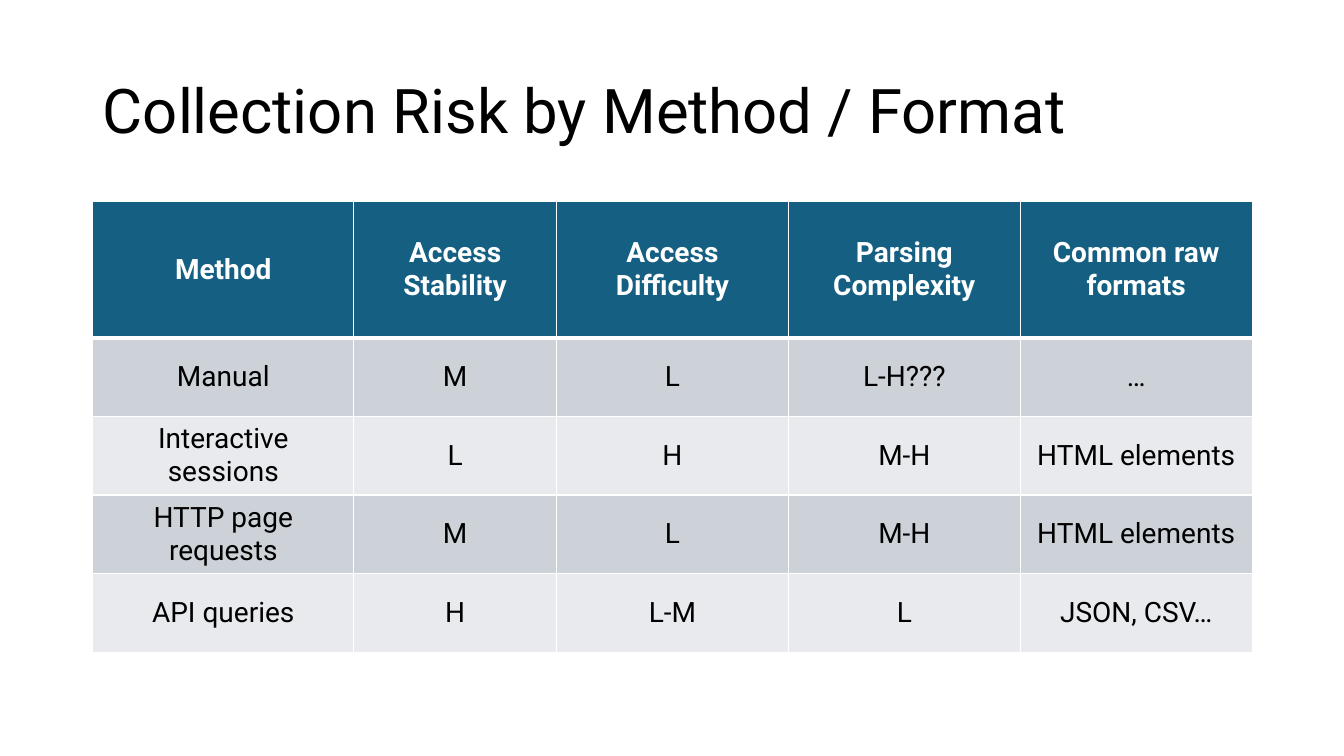
from dataclasses import dataclass

from lxml import etree
from pptx import Presentation
from pptx.dml.color import RGBColor
from pptx.enum import text as t
from pptx.oxml import ns
from pptx.util import Inches, Pt


@dataclass(frozen=True)
class Theme:
    font: str = "Roboto"
    title_size: int = 44
    table_size: int = 20
    ink: str = "000000"
    white: str = "FFFFFF"
    header: str = "156082"
    bands: tuple = ("CCD2D8", "E8EAED")


THEME = Theme()

HEADINGS = ["Method", "Access Stability", "Access\nDifficulty",
            "Parsing Complexity", "Common raw formats"]
METHODS = [
    ["Manual", "M", "L", "L-H???", "…"],
    ["Interactive sessions", "L", "H", "M-H", "HTML elements"],
    ["HTTP page requests", "M", "L", "M-H", "HTML elements"],
    ["API queries", "H", "L-M", "L", "JSON, CSV…"],
]
COLUMN_WIDTHS = [2.59, 2.01, 2.3, 2.3, 2.3]
HEADER_HEIGHT, ROW_HEIGHT = 1.35, 0.78


def write(frame, wording, *, size, color=THEME.ink, bold=False,
          align=t.PP_ALIGN.LEFT, spacing=1.0):
    """Fill a text frame, one paragraph per line of wording."""
    frame.text = wording
    frame.word_wrap = True
    for paragraph in frame.paragraphs:
        paragraph.alignment = align
        paragraph.line_spacing = spacing
        for run in paragraph.runs:
            run.font.name = THEME.font
            run.font.size = Pt(size)
            run.font.bold = bold
            run.font.color.rgb = RGBColor.from_string(color)


def add_borders(cell, widths):
    """Draw white cell borders; widths gives points for left, right, top, bottom."""
    properties = cell._tc.get_or_add_tcPr()
    for side, width in zip("LRTB", widths):
        line = etree.SubElement(properties, ns.qn(f"a:ln{side}"), w=str(Pt(width)))
        fill = etree.SubElement(line, ns.qn("a:solidFill"))
        etree.SubElement(fill, ns.qn("a:srgbClr"), val=THEME.white)


def place_title(slide, left, top, width, height):
    title = slide.shapes.title
    title.left, title.top = Inches(left), Inches(top)
    title.width, title.height = Inches(width), Inches(height)
    write(title.text_frame, "Collection Risk by Method / Format",
          size=THEME.title_size, spacing=0.9)
    title.text_frame.vertical_anchor = t.MSO_ANCHOR.MIDDLE
    title.text_frame.auto_size = t.MSO_AUTO_SIZE.NONE


def place_risk_table(slide, left, top, width, height):
    rows = [HEADINGS, *METHODS]
    table = slide.shapes.add_table(
        len(rows), len(HEADINGS), Inches(left), Inches(top),
        Inches(width), Inches(height)).table
    for column, column_width in zip(table.columns, COLUMN_WIDTHS):
        column.width = Inches(column_width)
    for r, row in enumerate(rows):
        is_header = r == 0
        table.rows[r].height = Inches(HEADER_HEIGHT if is_header else ROW_HEIGHT)
        band = THEME.header if is_header else THEME.bands[(r - 1) % 2]
        top_border = 3 if r == 1 else 1
        bottom_border = 3 if is_header else 1
        for c, wording in enumerate(row):
            cell = table.cell(r, c)
            add_borders(cell, (1, 1, top_border, bottom_border))
            cell.fill.solid()
            cell.fill.fore_color.rgb = RGBColor.from_string(band)
            cell.vertical_anchor = t.MSO_ANCHOR.MIDDLE
            write(cell.text_frame, wording, size=THEME.table_size,
                  color=THEME.white if is_header else THEME.ink,
                  bold=is_header, align=t.PP_ALIGN.CENTER)


def main():
    deck = Presentation()
    deck.slide_width, deck.slide_height = Inches(13.33), Inches(7.5)
    slide = deck.slides.add_slide(deck.slide_layouts.get_by_name("Title Only"))
    place_title(slide, 0.92, 0.4, 11.5, 1.45)
    place_risk_table(slide, 0.92, 2, sum(COLUMN_WIDTHS),
                     HEADER_HEIGHT + ROW_HEIGHT * len(METHODS))
    deck.save("out.pptx")


if __name__ == "__main__":
    main()
